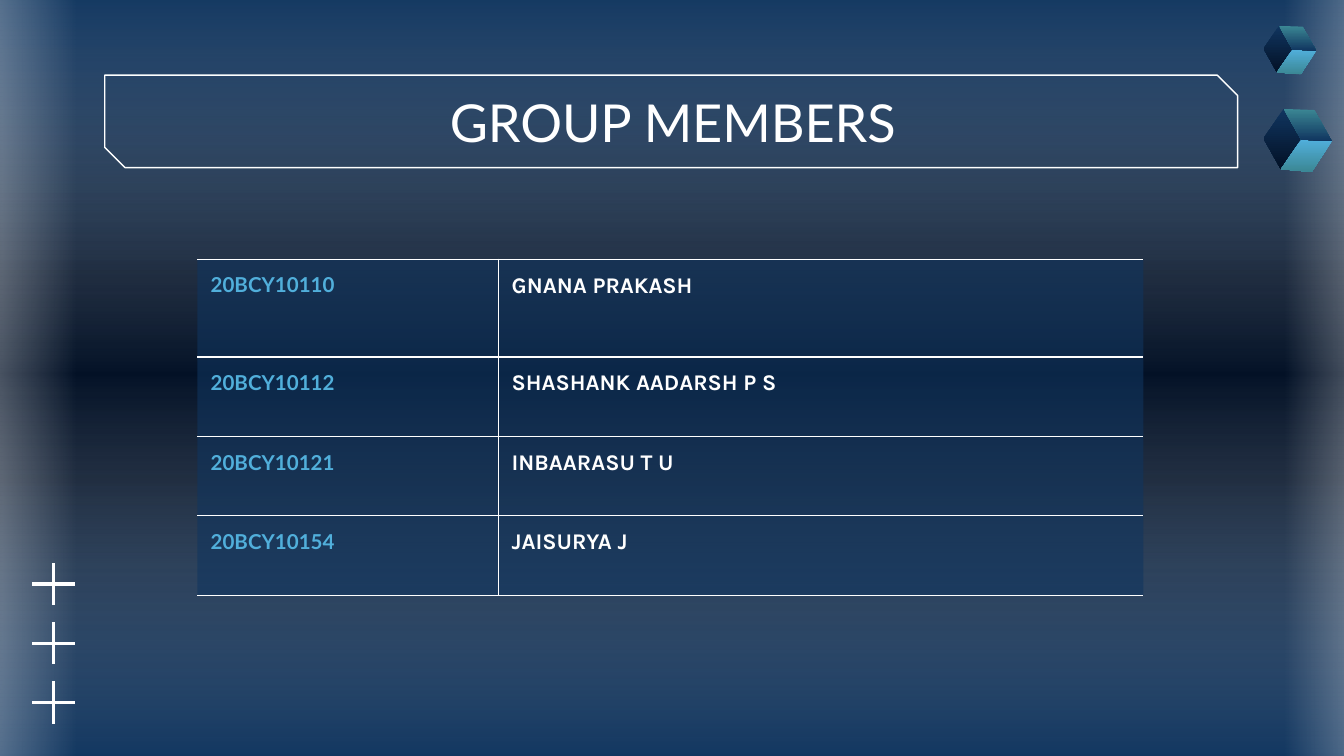
from lxml.etree import SubElement
from pptx import Presentation
from pptx.dml.color import RGBColor
from pptx.enum.shapes import MSO_SHAPE as Shape
from pptx.enum.text import MSO_ANCHOR as Anchor, PP_ALIGN as Align
from pptx.oxml import parse_xml
from pptx.oxml.ns import nsdecls, qn
from pptx.util import Cm, Pt

WHITE, NAVY, MIDNIGHT = "FFFFFF", "10355F", "031126"
SKY, TEAL = "51AFDB", "3B8794"
MEMBERS = [
    ("20BCY10110", "GNANA PRAKASH"),
    ("20BCY10112", "SHASHANK AADARSH P S"),
    ("20BCY10121", "INBAARASU T U"),
    ("20BCY10154", "JAISURYA J"),
]


def color(value):
    return RGBColor.from_string(value)


def set_gradient(fill, element, stops, angle=90):
    """Fill with (position %, hex colour, opacity %) stops."""
    fill.background()
    gradient = parse_xml(f'<a:gradFill {nsdecls("a")} rotWithShape="1"><a:gsLst/></a:gradFill>')
    for position, value, opacity in stops:
        stop = SubElement(gradient[0], qn("a:gs"), pos=str(position * 1000))
        rgb = SubElement(stop, qn("a:srgbClr"), val=value)
        SubElement(rgb, qn("a:alpha"), val=str(opacity * 1000))
    SubElement(gradient, qn("a:lin"), ang=str(angle * 60000), scaled="0")
    empty = next(element.iter(qn("a:noFill")))
    empty.getparent().replace(empty, gradient)


def write(frame, text, size=12, font="Lato", value=WHITE, bold=False, align=Align.LEFT):
    frame.word_wrap = True
    paragraph = frame.paragraphs[0]
    paragraph.alignment = align
    run = paragraph.add_run()
    run.text = text
    run.font.size, run.font.name, run.font.bold = Pt(size), font, bold
    run.font.color.rgb = color(value)


def set_margins(target):
    target.margin_left = target.margin_right = Cm(0.25)
    target.margin_top = target.margin_bottom = Cm(0.25)


def add_glow(slide, box, stops, rotation=0):
    shape = slide.shapes.add_shape(Shape.RECTANGLE, *map(Cm, box))
    shape.shadow.inherit = False
    shape.rotation = rotation
    shape.line.fill.background()
    set_gradient(shape.fill, shape.element, stops, 180)


def add_background(slide):
    set_gradient(slide.background.fill, slide.element,
                 [(0, NAVY, 100), (37, MIDNIGHT, 100), (63, MIDNIGHT, 100), (100, NAVY, 100)])
    add_glow(slide, (5.59, -5.92, 14.76, 25.93),
             [(0, NAVY, 59), (50, WHITE, 0), (100, NAVY, 59)], 270)
    edge = [(0, WHITE, 47), (100, WHITE, 0)]
    add_glow(slide, (-1.04, -0.23, 2.49, 14.73), edge, 180)
    add_glow(slide, (24.28, -0.33, 2.16, 14.73), edge)


def add_title(slide, text):
    frame = slide.shapes.add_shape(Shape.SNIP_2_DIAG_RECTANGLE,
                                   Cm(1.98), Cm(1.42), Cm(21.41), Cm(1.75))
    frame.adjustments[0], frame.adjustments[1] = 0, 0.22
    frame.shadow.inherit = False
    frame.fill.background()
    frame.line.color.rgb, frame.line.width = color(WHITE), Pt(0.75)
    box = slide.shapes.add_textbox(Cm(2.01), Cm(1.5), Cm(21.41), Cm(1.6))
    set_margins(box.text_frame)
    box.text_frame.vertical_anchor = Anchor.MIDDLE
    write(box.text_frame, text, size=28, align=Align.CENTER)


def set_borders(cell, visible):
    """Draw the named sides (L, R, T, B) and clear the others."""
    properties = cell._tc.get_or_add_tcPr()
    for index, side in enumerate("LRTB"):
        paint = (f'<a:solidFill><a:srgbClr val="{WHITE}"/></a:solidFill>'
                 if side in visible else "<a:noFill/>")
        properties.insert(index, parse_xml(
            f'<a:ln{side} {nsdecls("a")} w="{Pt(0.75)}">{paint}</a:ln{side}>'))


def format_cell(cell, borders):
    set_margins(cell)
    cell.fill.solid()
    cell.fill.fore_color.rgb = color(NAVY)
    rgb = next(cell._tc.tcPr.iter(qn("a:srgbClr")))
    SubElement(rgb, qn("a:alpha"), val="59000")
    set_borders(cell, borders)


def add_member_table(slide):
    widths, heights = (5.69, 12.19), (1.85, 1.5, 1.5, 1.5)
    table = slide.shapes.add_table(len(MEMBERS), 2, Cm(3.73), Cm(4.9),
                                   Cm(sum(widths)), Cm(sum(heights))).table
    table.first_row = table.horz_banding = False
    for column, width in zip(table.columns, widths):
        column.width = Cm(width)
    for row, height, (number, name) in zip(table.rows, heights, MEMBERS):
        row.height = Cm(height)
        number_cell, name_cell = row.cells
        format_cell(number_cell, "RTB")
        format_cell(name_cell, "LTB")
        write(number_cell.text_frame, number, size=11, value=SKY, bold=True)
        write(name_cell.text_frame, name, font="Karla", bold=True)


def add_polygon(slide, points):
    start, *rest = [(Cm(x), Cm(y)) for x, y in points]
    builder = slide.shapes.build_freeform(*start)
    builder.add_line_segments(rest, close=True)
    shape = builder.convert_to_shape()
    shape.shadow.inherit = False
    shape.line.fill.background()
    return shape


def add_plus(slide, x, y, arm=0.4, half=0.03):
    """Draw two crossing bars centred on x, y."""
    for dx, dy in ((arm, half), (half, arm)):
        bar = add_polygon(slide, [(x - dx, y - dy), (x - dx, y + dy),
                                  (x + dx, y + dy), (x + dx, y - dy)])
        bar.fill.solid()
        bar.fill.fore_color.rgb = color(WHITE)


def add_cube(slide, left, top, scale=1):
    center, peak, west, south = (0.71, 0.58), (0.38, 0), (0, 0.56), (0.33, 1.14)
    east, south_east, north_east = (1.29, 0.61), (0.91, 1.19), (0.96, 0.02)
    faces = [
        ((peak, west, south, center), NAVY, MIDNIGHT),
        ((center, east, south_east, south), SKY, TEAL),
        ((peak, north_east, east, center), TEAL, NAVY),
    ]
    for corners, upper, lower in faces:
        face = add_polygon(slide, [(left + x * scale, top + y * scale) for x, y in corners])
        set_gradient(face.fill, face.element, [(0, upper, 100), (100, lower, 100)])


def main():
    presentation = Presentation()
    presentation.slide_width, presentation.slide_height = Cm(25.4), Cm(14.29)
    slide = presentation.slides.add_slide(presentation.slide_layouts[6])
    add_background(slide)
    add_title(slide, "GROUP MEMBERS")
    add_member_table(slide)
    for index in range(3):
        add_plus(slide, 1.01, 11.04 + index * 1.12)
    add_cube(slide, 23.88, 2.06)
    add_cube(slide, 23.88, 0.49, scale=0.77)
    presentation.save("out.pptx")


if __name__ == "__main__":
    main()
